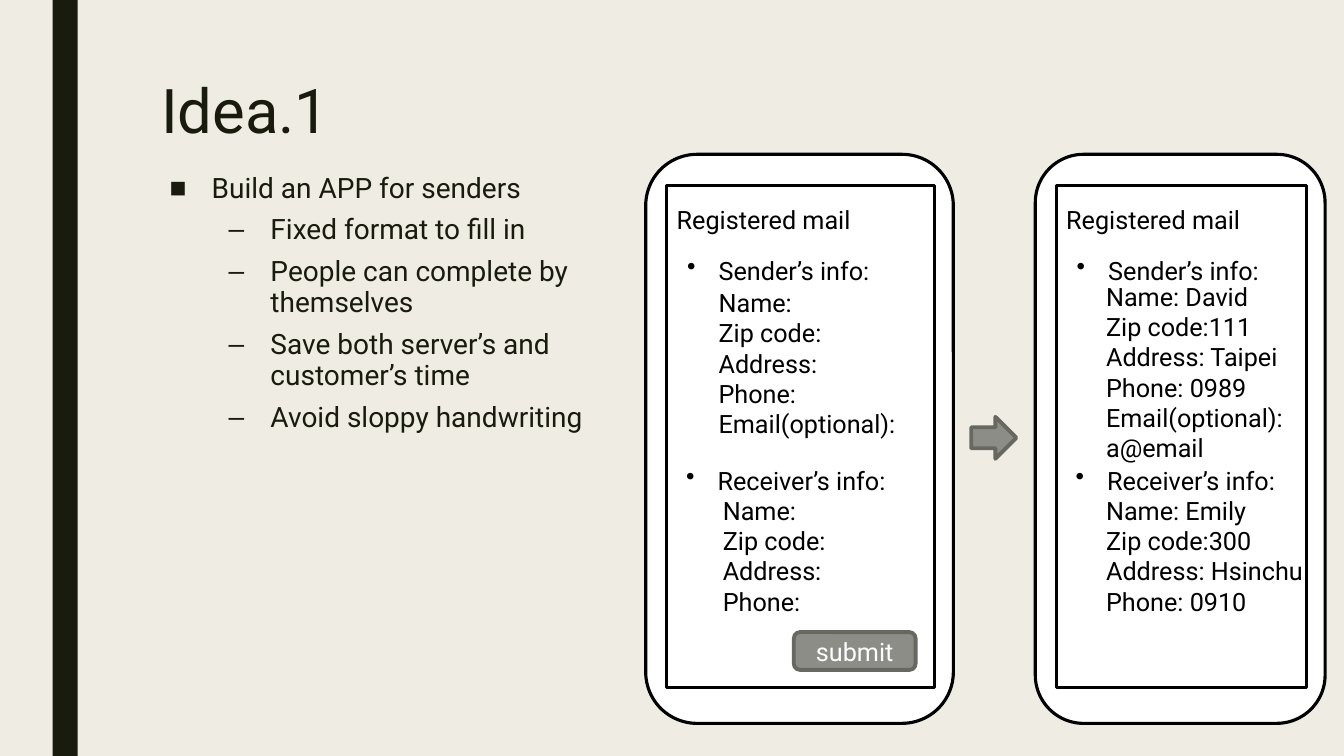
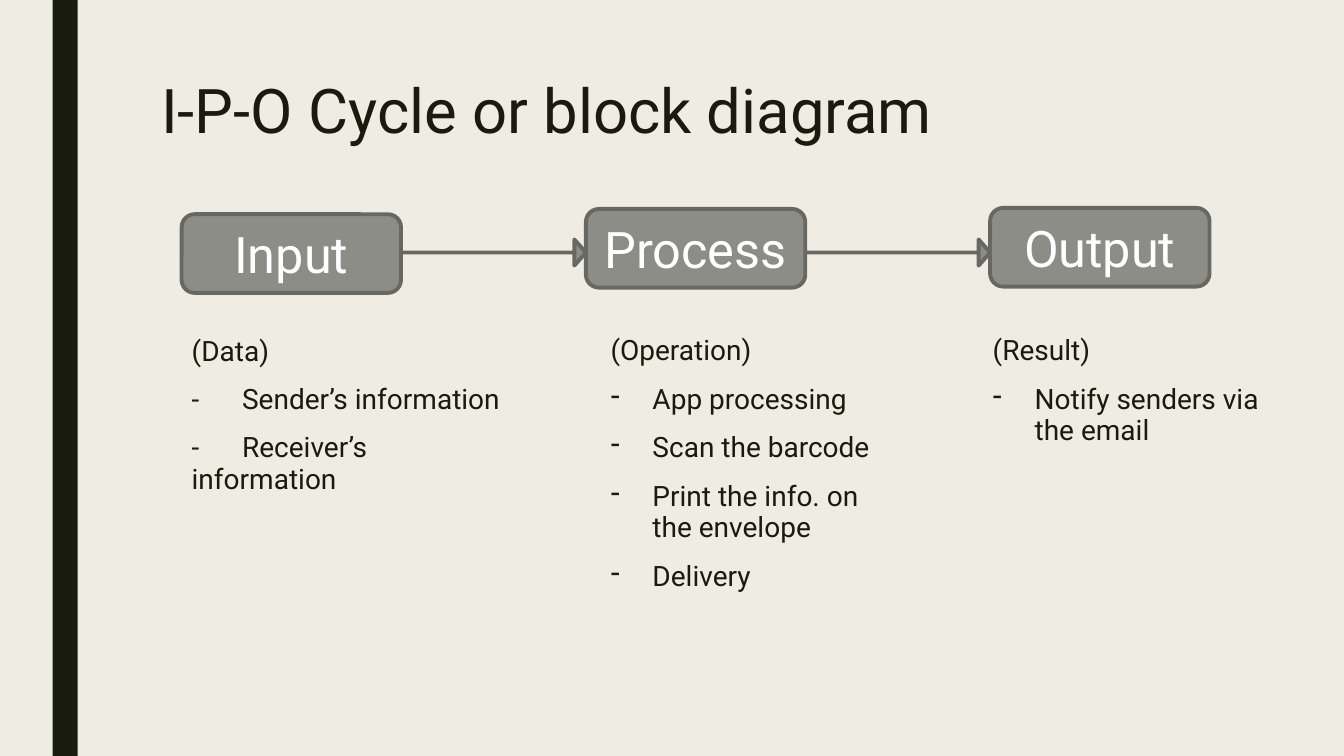
from collections import namedtuple
from dataclasses import dataclass

from lxml import etree
from pptx import Presentation
from pptx.dml.color import RGBColor
from pptx.enum.shapes import MSO_SHAPE
from pptx.enum.text import MSO_ANCHOR, MSO_AUTO_SIZE, PP_ALIGN
from pptx.oxml.ns import qn
from pptx.util import Pt

PX = 9525
RECT = MSO_SHAPE.RECTANGLE
ROUNDED = MSO_SHAPE.ROUNDED_RECTANGLE
ARROW = MSO_SHAPE.RIGHT_ARROW
TOP, MIDDLE = MSO_ANCHOR.TOP, MSO_ANCHOR.MIDDLE
LEFT, CENTER = PP_ALIGN.LEFT, PP_ALIGN.CENTER
NO_FIT = MSO_AUTO_SIZE.NONE

Box = namedtuple("Box", "left top width height")
Bullet = namedtuple("Bullet", "mark margin hang")


@dataclass(frozen=True)
class Theme:
    font: str = "Roboto"
    paper: str = "EFEDE3"
    ink: str = "191B0E"
    black: str = "000000"
    white: str = "FFFFFF"
    gray: str = "8C8D86"
    edge: str = "686863"
    title: int = 44
    block: int = 36
    body: int = 20
    screen: int = 18
    thin: float = 2.25
    thick: float = 2.75


THEME = Theme()
SQUARE = Bullet("■", 40, 40)
SUB_DASH = Bullet("–", 96, 40)
DASH = Bullet("-", 40, 40)
DOT = Bullet("•", 30, 30)
TAB_STOP = 40


def color(code):
    return RGBColor.from_string(code)


def emu(box):
    return [length * PX for length in box]


def place(shape, box):
    shape.left, shape.top, shape.width, shape.height = emu(box)


def set_bullet(para, bullet, tab=None):
    props = para._p.get_or_add_pPr()
    props.set("marL", str(bullet.margin * PX if bullet else 0))
    props.set("indent", str(-bullet.hang * PX if bullet else 0))
    if bullet:
        etree.SubElement(props, qn("a:buChar")).set("char", bullet.mark)
    else:
        etree.SubElement(props, qn("a:buNone"))
    if tab:
        stops = etree.SubElement(props, qn("a:tabLst"))
        stop = etree.SubElement(stops, qn("a:tab"))
        stop.set("pos", str(tab * PX))
        stop.set("algn", "l")


def set_font(para, size, ink):
    para.font.name = THEME.font
    para.font.size = Pt(size)
    para.font.color.rgb = color(ink)


def write(shape, items, size, ink, align=LEFT, anchor=TOP, spacing=None, before=0, after=0):
    frame = shape.text_frame
    frame.word_wrap = True
    frame.auto_size = NO_FIT
    frame.vertical_anchor = anchor
    for index, (text, bullet) in enumerate(items):
        para = frame.paragraphs[0] if index == 0 else frame.add_paragraph()
        para.text = text
        set_bullet(para, bullet, TAB_STOP if "\t" in text else None)
        para.level = 1 if bullet is SUB_DASH else 0
        para.alignment = align
        if spacing:
            para.line_spacing = spacing
        gap = before / 2 if bullet is SUB_DASH else before
        para.space_before = Pt(gap if index else 0)
        para.space_after = Pt(after)
        set_font(para, size, ink)


def write_body(shape, items):
    write(shape, items, THEME.body, THEME.ink, spacing=0.94, before=10, after=2)


def add_figure(shapes, kind, box, fill, line=None, weight=0):
    figure = shapes.add_shape(kind, *emu(box))
    figure.shadow.inherit = False
    figure.fill.solid()
    figure.fill.fore_color.rgb = color(fill)
    if line:
        figure.line.color.rgb = color(line)
        figure.line.width = Pt(weight)
    else:
        figure.line.fill.background()
    return figure


def add_gray(shapes, kind, box):
    return add_figure(shapes, kind, box, THEME.gray, THEME.edge, THEME.thick)


def add_button(shapes, box, label, size):
    button = add_gray(shapes, ROUNDED, box)
    write(button, [(label, None)], size, THEME.white, CENTER, MIDDLE)


def add_screen_text(shapes, box, lines, bullet=None):
    label = shapes.add_textbox(*emu(box))
    write(label, [(line, bullet) for line in lines], THEME.screen, THEME.black)


def style_master(deck, page):
    master = deck.slide_master
    master.background.fill.solid()
    master.background.fill.fore_color.rgb = color(THEME.paper)
    bar = add_figure(page.shapes, RECT, Box(50, 0, 24, 720), THEME.ink)
    master.shapes.element.insert(2, bar.element)


def add_page(deck, title, body_box, body_items):
    page = deck.slides.add_slide(deck.slide_layouts[1])
    heading, body = page.shapes.title, page.placeholders[1]
    place(heading, Box(144, 72, 1008, 156))
    write(heading, [(title, None)], THEME.title, THEME.ink, spacing=0.89)
    place(body, body_box)
    write_body(body, body_items)
    return page


def add_phone(page, box, sender, receiver, sender_at, receiver_at, submit=False):
    shapes = page.shapes.add_group_shape().shapes
    left, top = box.left, box.top
    screen = Box(left + 20, top + 30, box.width - 38, box.height - 64)
    for kind, outline in ((ROUNDED, box), (RECT, screen)):
        add_figure(shapes, kind, outline, THEME.white, THEME.black, THEME.thin)
    headings = (("Registered mail", 0, 13, None),
                ("Sender’s info:", 10, 61, DOT),
                ("Receiver’s info:", 9, 261, DOT))
    for text, across, down, bullet in headings:
        spot = Box(screen.left + across, screen.top + down, 230, 38)
        add_screen_text(shapes, spot, [text], bullet)
    for lines, (across, down) in ((sender, sender_at), (receiver, receiver_at)):
        spot = Box(left + across, top + down, 236, 10 + 29 * len(lines))
        add_screen_text(shapes, spot, lines)
    if submit:
        spot = Box(left + 141, top + 455, 116, 36)
        add_button(shapes, spot, "submit", THEME.screen)


def add_idea_page(deck):
    points = ("Fixed format to fill in",
              "People can complete by themselves",
              "Save both server’s and customer’s time",
              "Avoid sloppy handwriting")
    items = [("Build an APP for senders", SQUARE)]
    items += [(point, SUB_DASH) for point in points]
    page = add_page(deck, "Idea.1", Box(152, 160, 449, 448), items)
    blanks = ["Name:", "Zip code:", "Address:", "Phone:"]
    add_phone(page, Box(615, 147, 293, 542), blanks + ["Email(optional):"], blanks,
              (60, 122), (64, 320), submit=True)
    add_phone(page, Box(986, 147, 276, 542),
              ["Name: David", "Zip code:111", "Address: Taipei", "Phone: 0989",
               "Email(optional): a@email"],
              ["Name: Emily", "Zip code:300", "Address: Hsinchu", "Phone: 0910"],
              (58, 116), (58, 320))
    add_gray(page.shapes, ARROW, Box(925, 397, 43, 40))
    return page


def add_flow(page, box, steps):
    shapes = page.shapes.add_group_shape().shapes
    width, height, pitch = 209, 75, 385
    for index, (label, drop) in enumerate(steps):
        left = box.left + index * pitch
        add_button(shapes, Box(left, box.top + drop, width, height), label, THEME.block)
    for index in range(len(steps) - 1):
        left = box.left + index * pitch + width
        arrow = add_gray(shapes, ARROW, Box(left, box.top + 30, pitch - width, 25))
        arrow.adjustments[0] = 0
        arrow.adjustments[1] = 0.44


def add_column(page, box, heading, points):
    column = page.shapes.add_textbox(*emu(box))
    write_body(column, [(heading, None)] + [(point, DASH) for point in points])


def add_cycle_page(deck):
    top, height = 315, 354
    data = [("(Data)", None),
            ("-\tSender’s information", None),
            ("-\tReceiver’s information", None)]
    page = add_page(deck, "I-P-O Cycle or block diagram", Box(173, top, 323, height), data)
    add_flow(page, Box(173, 198, 979, 81), (("Input", 6), ("Process", 1), ("Output", 0)))
    add_column(page, Box(936, top, 297, height), "(Result)", ["Notify senders via the email"])
    add_column(page, Box(572, top, 286, height), "(Operation)",
               ["App processing", "Scan the barcode",
                "Print the info. on the envelope", "Delivery"])


def main():
    deck = Presentation()
    deck.slide_width, deck.slide_height = 1280 * PX, 720 * PX
    style_master(deck, add_idea_page(deck))
    add_cycle_page(deck)
    deck.save("out.pptx")


if __name__ == "__main__":
    main()
